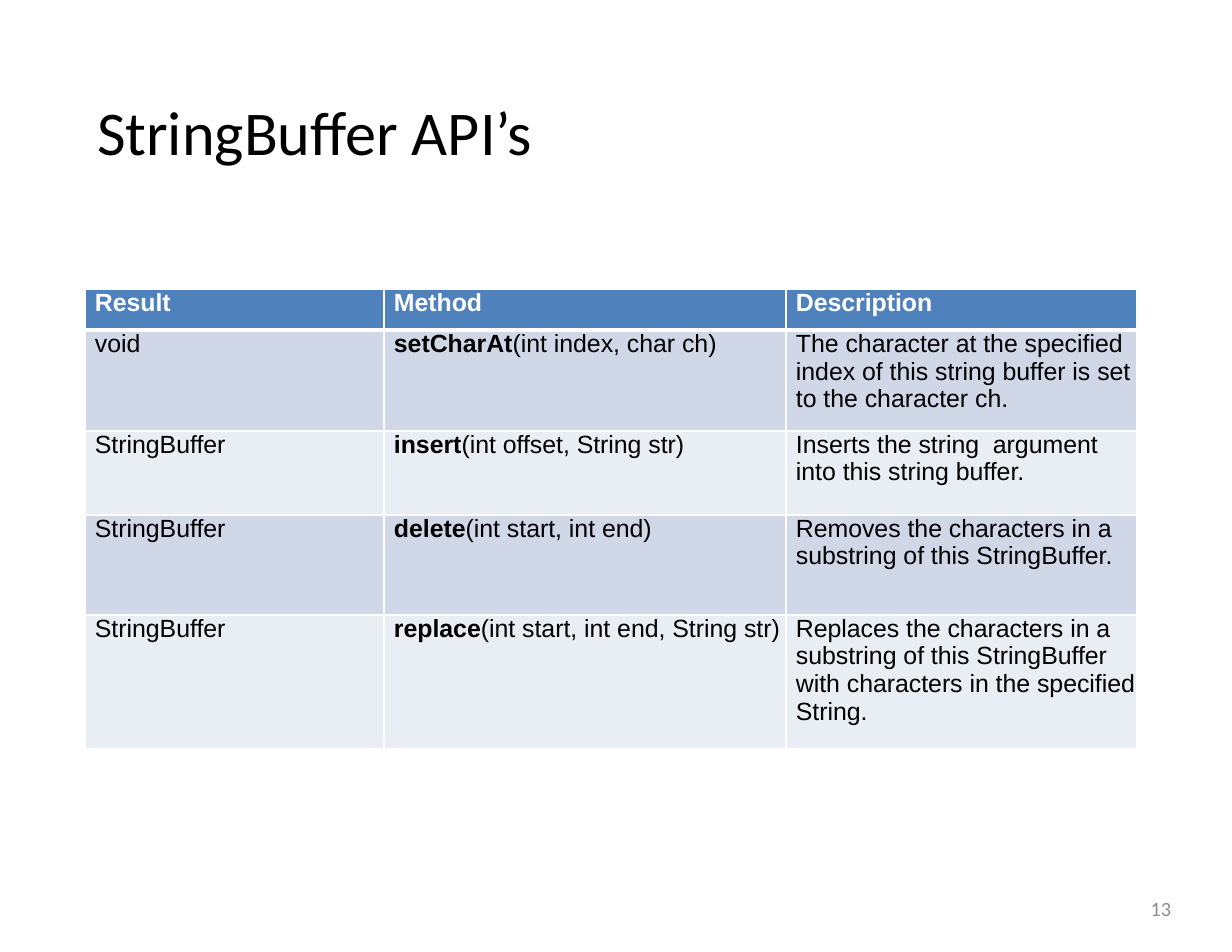
from lxml import etree
from pptx import Presentation
from pptx import util as u
from pptx.dml.color import RGBColor
from pptx.enum import text
from pptx.oxml import ns

PX_PER_INCH = 112
COLUMN_WIDTHS = [299, 402, 351]
ROW_HEIGHTS = [41, 101, 84, 100, 134]
HEADER_FILL = "4F81BD"
BAND_FILLS = ["D0D8E8", "E9EDF4"]
HEADINGS = ["Result", "Method", "Description"]
METHODS = [
    ("void", "setCharAt", "(int index, char ch)",
     "The character at the specified index of this string buffer is set to the character ch."),
    ("StringBuffer", "insert", "(int offset, String str)",
     "Inserts the string  argument into this string buffer."),
    ("StringBuffer", "delete", "(int start, int end)",
     "Removes the characters in a substring of this StringBuffer."),
    ("StringBuffer", "replace", "(int start, int end, String str)",
     "Replaces the characters in a substring of this StringBuffer "
     "with characters in the specified String."),
]


def px(length):
    return u.Inches(length / PX_PER_INCH)


def color(value):
    return RGBColor.from_string(value)


def apply_format(target, values):
    for name, value in values.items():
        setattr(target, name, value)


def add_run(paragraph, content, size, font_name, font_color, bold=False):
    run = paragraph.add_run()
    run.text = content
    apply_format(run.font, {"size": u.Pt(size), "name": font_name, "bold": bold})
    run.font.color.rgb = color(font_color)


def format_frame(frame, left_margin=0):
    apply_format(frame, {
        "margin_left": px(left_margin), "margin_top": 0,
        "margin_right": 0, "margin_bottom": 0, "word_wrap": True,
        "auto_size": text.MSO_AUTO_SIZE.NONE,
        "vertical_anchor": text.MSO_ANCHOR.MIDDLE,
    })


def place_title(slide, left, top, width, height):
    title = slide.shapes.title
    apply_format(title, {"left": px(left), "top": px(top),
                         "width": px(width), "height": px(height)})
    format_frame(title.text_frame, 180)
    paragraph = title.text_frame.paragraphs[0]
    paragraph.alignment = text.PP_ALIGN.LEFT
    add_run(paragraph, "StringBuffer API’s", 40, "Calibri", "000000")


def add_page_number(slide, left, top, width, height):
    box = slide.shapes.add_textbox(px(left), px(top), px(width), px(height))
    format_frame(box.text_frame)
    paragraph = box.text_frame.paragraphs[0]
    paragraph.alignment = text.PP_ALIGN.RIGHT
    add_run(paragraph, "13", 13, "Calibri", "8C8C8C")


def set_borders(cell, widths):
    properties = cell._tc.get_or_add_tcPr()
    for side, width in widths.items():
        line = etree.SubElement(properties, ns.qn(f"a:ln{side}"), w=str(u.Pt(width)))
        fill = etree.SubElement(line, ns.qn("a:solidFill"))
        etree.SubElement(fill, ns.qn("a:srgbClr"), val="FFFFFF")


def fill_cell(cell, row, parts):
    apply_format(cell, {"margin_left": px(10), "margin_top": 0,
                        "margin_right": 0, "margin_bottom": 0})
    set_borders(cell, {"L": 1.18, "R": 1.18,
                       "T": 3.1 if row == 1 else 1.18,
                       "B": 3.1 if row == 0 else 1.18})
    cell.fill.solid()
    cell.fill.fore_color.rgb = color(BAND_FILLS[(row - 1) % 2] if row else HEADER_FILL)
    for content, bold in parts:
        add_run(cell.text_frame.paragraphs[0], content, 16, "Arial",
                "000000" if row else "FFFFFF", bold)


def add_method_table(slide, left, top):
    table = slide.shapes.add_table(
        len(ROW_HEIGHTS), len(COLUMN_WIDTHS), px(left), px(top),
        px(sum(COLUMN_WIDTHS)), px(sum(ROW_HEIGHTS))).table
    for column, width in zip(table.columns, COLUMN_WIDTHS):
        column.width = px(width)
    for row, height in zip(table.rows, ROW_HEIGHTS):
        row.height = px(height)
    rows = [[[(heading, True)] for heading in HEADINGS]]
    for result, name, arguments, description in METHODS:
        rows.append([[(result, False)],
                     [(name, True), (arguments, False)],
                     [(description, False)]])
    for row, cells in enumerate(rows):
        for column, parts in enumerate(cells):
            fill_cell(table.cell(row, column), row, parts)


def main():
    presentation = Presentation()
    apply_format(presentation, {"slide_width": u.Inches(11), "slide_height": u.Inches(8.5)})
    slide = presentation.slides.add_slide(presentation.slide_layouts[5])
    place_title(slide, -83, 93, 1109, 75)
    add_page_number(slide, 883, 883, 288, 50)
    add_method_table(slide, 85, 289)
    presentation.save("out.pptx")


if __name__ == "__main__":
    main()
